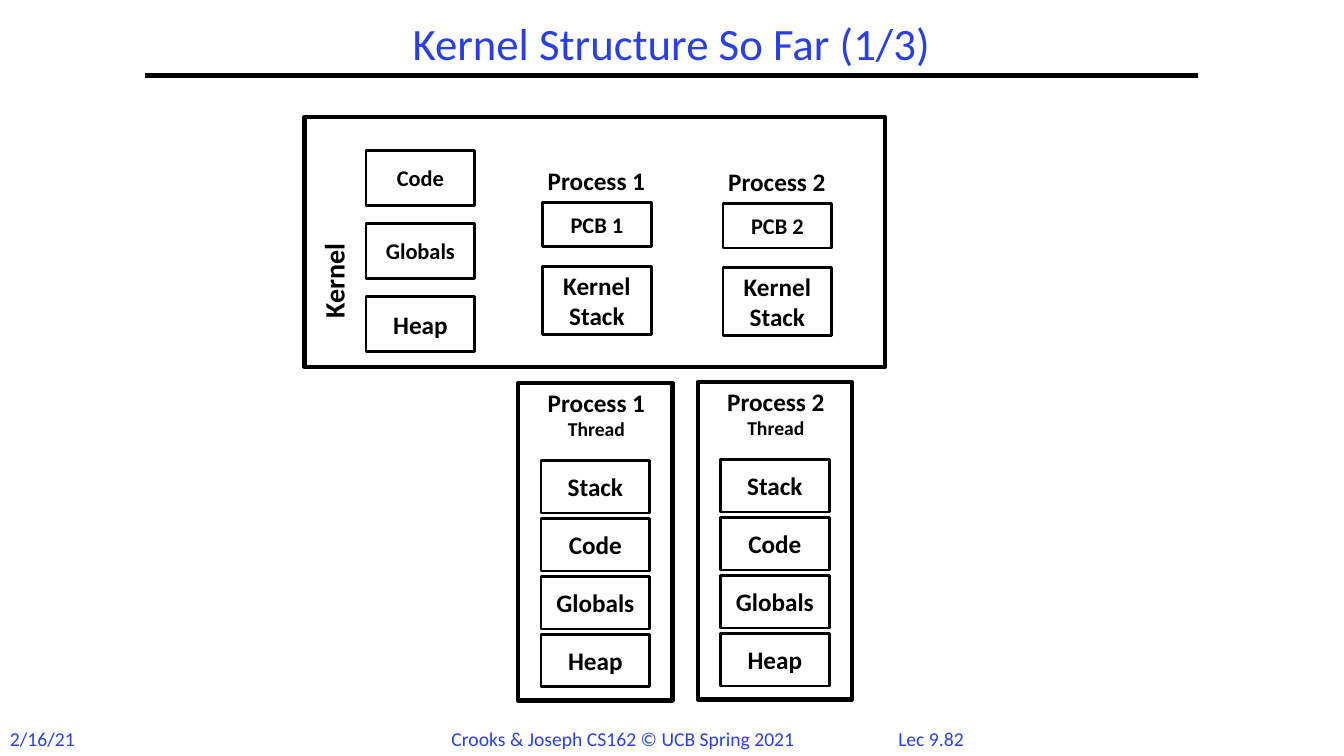
from pptx import Presentation
from pptx import util as u
from pptx.dml.color import RGBColor
from pptx.enum import shapes, text
from pptx.oxml.ns import qn
from lxml import etree

COLORS = {"ink": "000000", "accent": "2A40E2"}
FONT = "Calibri"
CELL_WIDTH = 1.08


def color(name):
    """Return the named palette colour."""
    return RGBColor.from_string(COLORS[name])


def write(shape, lines, ink="ink", bold=True, align=text.PP_ALIGN.CENTER):
    """Write (wording, size) lines into one paragraph, split by line breaks."""
    para = shape.text_frame.paragraphs[0]
    para.alignment = align
    for number, (wording, size) in enumerate(lines):
        if number:
            para.add_line_break()
        span = para.add_run()
        span.text = wording
        span.font.name = FONT
        span.font.size = u.Pt(size)
        span.font.bold = bold
        span.font.color.rgb = color(ink)
    return para


def add_label(page, box, lines, wrap=False, **style):
    """Place a text box and return its shape and paragraph."""
    label = page.shapes.add_textbox(*map(u.Inches, box))
    label.text_frame.word_wrap = wrap
    return label, write(label, lines, **style)


def add_frame(page, box, weight, lines=()):
    """Place an unfilled outlined rectangle with optional centred text."""
    frame = page.shapes.add_shape(shapes.MSO_SHAPE.RECTANGLE, *map(u.Inches, box))
    frame.shadow.inherit = False
    frame.fill.background()
    frame.line.color.rgb = color("ink")
    frame.line.width = u.Pt(weight)
    frame.text_frame.vertical_anchor = text.MSO_ANCHOR.MIDDLE
    if lines:
        write(frame, lines)


def add_title(page, box):
    """Place the title and the rule along the bottom of its box."""
    left, top, width, height = box
    title, para = add_label(page, box, [("Kernel Structure So Far (1/3)", 32)],
                            wrap=True, ink="accent", bold=False)
    title.text_frame.vertical_anchor = text.MSO_ANCHOR.MIDDLE
    para.line_spacing = 0.9
    rule = page.shapes.add_connector(
        shapes.MSO_CONNECTOR.STRAIGHT, u.Inches(left), u.Inches(top + height),
        u.Inches(left + width), u.Inches(top + height))
    rule.line.color.rgb = color("ink")
    rule.line.width = u.Pt(3)
    etree.SubElement(rule._element.spPr, qn("a:effectLst"))


def add_kernel_process(page, box, number):
    """Place a process heading, its PCB and its kernel stack."""
    left, top, width, height = box
    add_label(page, (left - 0.16, top, 1.39, 0.4), [(f"Process {number}", 18)])
    add_frame(page, (left, top + 0.42, width, 0.44), 2, [(f"PCB {number}", 16)])
    add_frame(page, (left, top + height - 0.68, width, 0.68), 2,
              [("Kernel", 18), ("Stack", 18)])


def add_kernel(page, box):
    """Place the kernel frame with its segments and two processes."""
    left, top, width, height = box
    segments = [("Code", 16), ("Globals", 16), ("Heap", 18)]
    for row, segment in enumerate(segments):
        cell = (left + 0.61, top + 0.33 + row * 0.725, CELL_WIDTH, 0.55)
        add_frame(page, cell, 2, [segment])
    for column in range(2):
        process = (left + 2.36 + column * 1.79, top + 0.43 + column * 0.01,
                   CELL_WIDTH, 1.73)
        add_kernel_process(page, process, column + 1)
    name, para = add_label(page, (left + 0.07, top + 0.42, 0.54, 1.68),
                           [("Kernel", 20)], wrap=True, align=text.PP_ALIGN.LEFT)
    name.text_frame._txBody.bodyPr.set("vert", "vert270")
    add_frame(page, box, 3)


def add_user_process(page, box, number):
    """Place one user process with its heading and stacked segments."""
    left, top, width, height = box
    add_label(page, (left + 0.08, top - 0.01, 1.39, 0.64),
              [(f"Process {number}", 18), ("Thread", 14)])
    for row, segment in enumerate(["Stack", "Code", "Globals", "Heap"]):
        cell = (left + (width - CELL_WIDTH) / 2, top + 0.77 + row * 0.575,
                CELL_WIDTH, 0.52)
        add_frame(page, cell, 2, [(segment, 18)])
    add_frame(page, box, 3)


def add_footer(page, box):
    """Place the date, course line and lecture number along the footer."""
    left, top, width, height = box
    entries = [
        ("2/16/21", 0, 1, text.PP_ALIGN.LEFT),
        ("Crooks & Joseph CS162 © UCB Spring 2021", 4.38, 3.76, text.PP_ALIGN.LEFT),
        ("Lec 9.82", 8.75, 0.97, text.PP_ALIGN.CENTER),
    ]
    for wording, offset, span_width, align in entries:
        add_label(page, (left + offset, top, span_width, height), [(wording, 14)],
                  ink="accent", bold=False, align=align)


def main():
    """Build and save the deck."""
    deck = Presentation()
    deck.slide_width, deck.slide_height = u.Inches(13.33), u.Inches(7.5)
    page = deck.slides.add_slide(deck.slide_layouts[6])
    add_footer(page, (0, 7.16, 13.33, 0.34))
    add_kernel(page, (3.02, 1.16, 5.76, 2.48))
    for column in range(2):
        box = (5.14 + column * 1.78, 3.8 - column * 0.01, 1.53, 3.15)
        add_user_process(page, box, column + 1)
    add_title(page, (1.44, 0.17, 10.44, 0.58))
    deck.save("out.pptx")


if __name__ == "__main__":
    main()
